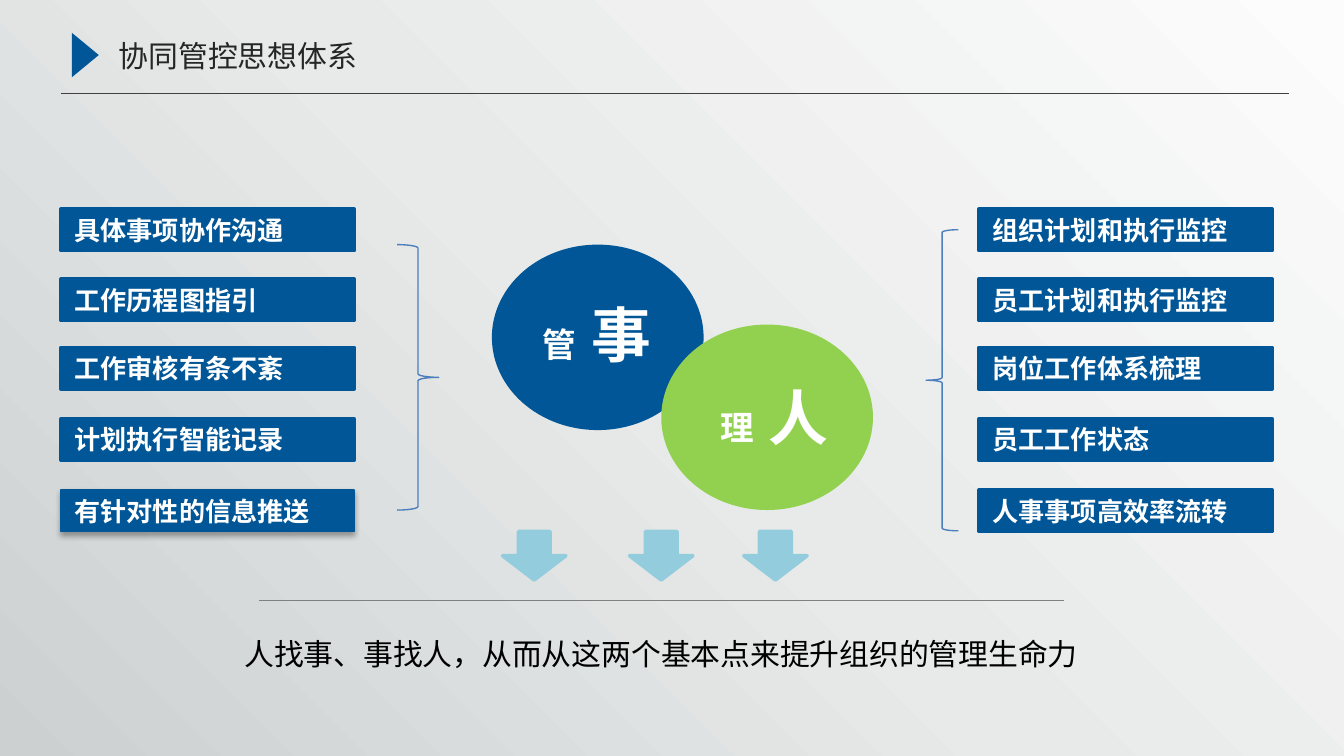
from copy import deepcopy

from lxml.etree import SubElement
from pptx import Presentation
from pptx.dml.color import RGBColor
from pptx.enum.shapes import MSO_CONNECTOR, MSO_SHAPE
from pptx.enum.text import MSO_ANCHOR, PP_ALIGN
from pptx.oxml.ns import qn
from pptx.util import Pt

PX = 4572
SLIDE_SIZE = (2000, 1125)

BLUE = RGBColor(0x00, 0x56, 0x96)
GREEN = RGBColor(0x92, 0xD0, 0x50)
PALE_BLUE = RGBColor(0x93, 0xCD, 0xDD)
BRACE_BLUE = RGBColor(0x4B, 0x7E, 0xBC)
WHITE = RGBColor(0xFF, 0xFF, 0xFF)
BLACK = RGBColor(0x00, 0x00, 0x00)
TITLE_GRAY = RGBColor(0x26, 0x26, 0x26)
RULE_GRAY = RGBColor(0x40, 0x40, 0x40)
FOOTER_GRAY = RGBColor(0x80, 0x80, 0x80)
BACKDROP = [
    (0, RGBColor(0xCC, 0xD0, 0xD1)),
    (0.49, RGBColor(0xE8, 0xEA, 0xE9)),
    (1, RGBColor(0xFC, 0xFC, 0xFC)),
]

CJK_FONT = "Noto Sans CJK SC"
LATIN_FONT = "Calibri"

ROW_OFFSETS = [0, 104, 206, 312, 418]
MATTERS = ["具体事项协作沟通", "工作历程图指引", "工作审核有条不紊", "计划执行智能记录", "有针对性的信息推送"]
PEOPLE = ["组织计划和执行监控", "员工计划和执行监控", "岗位工作体系梳理", "员工工作状态", "人事事项高效率流转"]


def emu(*lengths):
    return [length * PX for length in lengths]


def add_shape(slide, kind, box, fill=None, line=None, weight=0.75):
    shape = slide.shapes.add_shape(kind, *emu(*box))
    shape.shadow.inherit = False
    if fill is None:
        shape.fill.background()
    else:
        shape.fill.solid()
        shape.fill.fore_color.rgb = fill
    if line is None:
        shape.line.fill.background()
    else:
        shape.line.color.rgb = line
        shape.line.width = Pt(weight)
    return shape


def add_rule(slide, left, top, width, color):
    rule = slide.shapes.add_connector(MSO_CONNECTOR.STRAIGHT, *emu(left, top, left + width, top))
    rule.line.color.rgb = color
    rule.line.width = Pt(0.75)
    SubElement(rule._element.spPr, qn("a:effectLst"))


def format_run(run, size, color, font=CJK_FONT, bold=False):
    run.font.size = Pt(size)
    run.font.bold = bold
    run.font.color.rgb = color
    run.font.name = font
    SubElement(run._r.get_or_add_rPr(), qn("a:ea"), typeface=CJK_FONT)


def add_text_box(slide, box, text, wrap, side_margin, color, font):
    text_frame = slide.shapes.add_textbox(*emu(*box)).text_frame
    text_frame.word_wrap = wrap
    text_frame.margin_left = text_frame.margin_right = side_margin * PX
    text_frame.margin_top = text_frame.margin_bottom = 8 * PX
    text_frame.text = text
    format_run(text_frame.paragraphs[0].runs[0], 16, color, font)
    return text_frame


def add_backdrop(slide):
    fill = slide.background.fill
    fill.gradient()
    fill.gradient_angle = 45
    stops = slide._element.find(".//" + qn("a:gsLst"))
    stops.append(deepcopy(stops[0]))
    for stop, (position, color) in zip(fill.gradient_stops, BACKDROP):
        stop.position = position
        stop.color.rgb = color


def add_header(slide, box):
    left, top, width, height = box
    add_rule(slide, left, top + height, width, RULE_GRAY)
    marker = add_shape(slide, MSO_SHAPE.ISOSCELES_TRIANGLE, (left + 3, top + 14, 66, 40), BLUE)
    marker.rotation = 90
    add_text_box(slide, (left + 72, top, 586, 68), "协同管控思想体系", True, 14, TITLE_GRAY, CJK_FONT)


def add_label_column(slide, box, labels):
    left, top, width, height = box
    bars = []
    for offset, label in zip(ROW_OFFSETS, labels):
        bar_box = (left, top + offset, width, height - ROW_OFFSETS[-1])
        bar = add_shape(slide, MSO_SHAPE.RECTANGLE, bar_box, BLUE, BLUE, 2)
        bar.text_frame.vertical_anchor = MSO_ANCHOR.MIDDLE
        bar.text_frame.text = label
        paragraph = bar.text_frame.paragraphs[0]
        paragraph.alignment = PP_ALIGN.LEFT
        format_run(paragraph.runs[0], 14, WHITE, bold=True)
        bars.append(bar)
    return bars


def lift_bar(bar):
    bar.line.width = Pt(0.75)
    effects = bar._element.spPr.find(qn("a:effectLst"))
    shadow = SubElement(effects, qn("a:outerShdw"), blurRad=str(Pt(3.1)), dist=str(Pt(1.8)),
                        dir="5400000", algn="t", rotWithShape="0")
    color = SubElement(shadow, qn("a:srgbClr"), val="000000")
    SubElement(color, qn("a:alpha"), val="35000")


def add_circle_caption(slide, box, verb, noun):
    text_frame = slide.shapes.add_textbox(*emu(*box)).text_frame
    text_frame.word_wrap = False
    paragraph = text_frame.paragraphs[0]
    for text, size in ((verb + " ", 18), (noun, 32)):
        run = paragraph.add_run()
        run.text = text
        format_run(run, size, WHITE, LATIN_FONT, True)
    paragraph.runs[0]._r.get_or_add_rPr().set("spc", "200")


def add_circles(slide, box):
    left, top, width, height = box
    circle_width, circle_height = 315, 276
    right, lower = left + width - circle_width, top + height - circle_height
    add_shape(slide, MSO_SHAPE.OVAL, (left, top, circle_width, circle_height), BLUE)
    add_shape(slide, MSO_SHAPE.OVAL, (right, lower, circle_width, circle_height), GREEN)
    add_circle_caption(slide, (left + 56, top + 70, 204, 128), "管", "事")
    add_circle_caption(slide, (right + 68, lower + 74, 204, 128), "理", "人")


def add_conclusion(slide, box):
    left, top, width, height = box
    for offset in (408, 597, 767):
        arrow_box = (left + offset, top, 94, 72)
        add_shape(slide, MSO_SHAPE.DOWN_ARROW, arrow_box, PALE_BLUE, PALE_BLUE, 2)
    add_rule(slide, left + 46, top + 103, 1197, FOOTER_GRAY)
    text_frame = add_text_box(slide, (left, top + height - 70, width, 70),
                              "人找事、事找人，从而从这两个基本点来提升组织的管理生命力",
                              False, 16, BLACK, LATIN_FONT)
    text_frame.paragraphs[0].alignment = PP_ALIGN.CENTER


def main():
    presentation = Presentation()
    presentation.slide_width, presentation.slide_height = emu(*SLIDE_SIZE)
    slide = presentation.slides.add_slide(presentation.slide_layouts[6])
    add_backdrop(slide)
    add_header(slide, (91, 48, 1827, 91))
    add_circles(slide, (732, 364, 567, 395))
    matter_bars = add_label_column(slide, (91, 311, 436, 480), MATTERS)
    lift_bar(matter_bars[-1])
    add_label_column(slide, (1457, 311, 436, 480), PEOPLE)
    add_shape(slide, MSO_SHAPE.RIGHT_BRACE, (591, 364, 62, 395), line=BRACE_BLUE)
    add_shape(slide, MSO_SHAPE.LEFT_BRACE, (1378, 342, 48, 448), line=BRACE_BLUE)
    add_conclusion(slide, (340, 791, 1289, 217))
    presentation.save("out.pptx")


if __name__ == "__main__":
    main()
